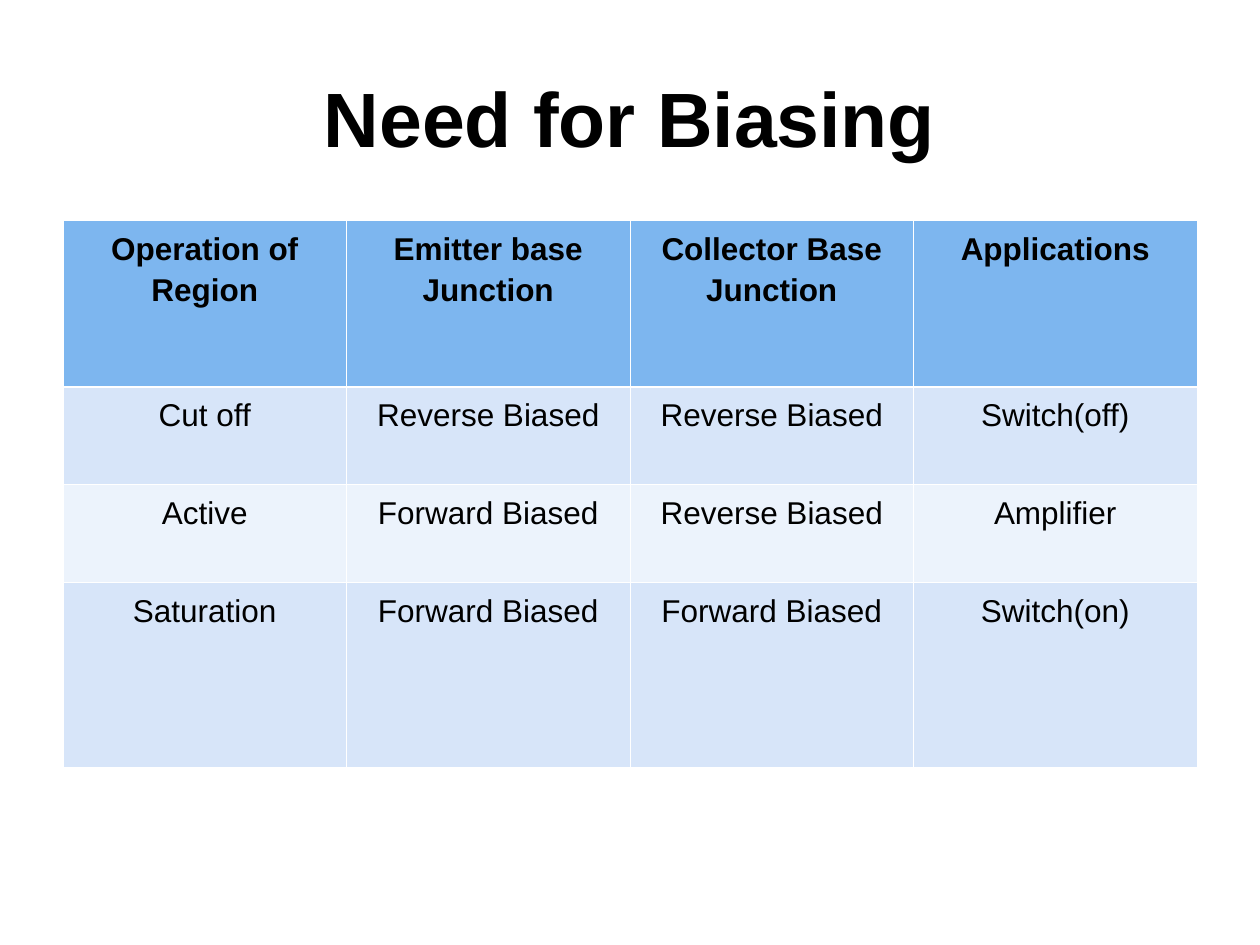
from lxml import etree
from pptx import Presentation
from pptx.dml.color import RGBColor
from pptx.enum.text import MSO_ANCHOR, PP_ALIGN
from pptx.oxml.ns import qn
from pptx.util import Pt

CENTER = PP_ALIGN.CENTER
MIDDLE = MSO_ANCHOR.MIDDLE
TOP = MSO_ANCHOR.TOP
TITLE_ONLY = 5

COLORS = {
    "text": "000000",
    "rule": "FFFFFF",
    "header": "7DB6EF",
    "odd_row": "D7E5F9",
    "even_row": "ECF3FC",
}
FONT = "Arial"
THIN, THICK = 0.45, 1.47

ROWS = [
    ["Operation of Region", "Emitter base Junction", "Collector Base Junction", "Applications"],
    ["Cut off", "Reverse Biased", "Reverse Biased", "Switch(off)"],
    ["Active", "Forward Biased", "Reverse Biased", "Amplifier"],
    ["Saturation", "Forward Biased", "Forward Biased", "Switch(on)"],
]
ROW_HEIGHTS = [95, 56, 56, 105.5]


def write_text(frame, text, *, size, bold=False, spacing=1.0):
    frame.word_wrap = True
    para = frame.paragraphs[0]
    para.alignment = CENTER
    para.line_spacing = spacing
    span = para.add_run()
    span.text = text
    span.font.name = FONT
    span.font.size = Pt(size)
    span.font.bold = bold
    span.font.color.rgb = RGBColor.from_string(COLORS["text"])


def set_borders(cell, **widths):
    """Draw the cell's edges; widths in points, keyed L, R, T, B in that order."""
    properties = cell._tc.get_or_add_tcPr()
    for side, width in widths.items():
        line = etree.SubElement(properties, qn(f"a:ln{side}"), w=str(int(Pt(width))))
        fill = etree.SubElement(line, qn("a:solidFill"))
        etree.SubElement(fill, qn("a:srgbClr"), val=COLORS["rule"])


def add_title(page, text, left, top, width, height):
    title = page.shapes.title
    title.left, title.top = Pt(left), Pt(top)
    title.width, title.height = Pt(width), Pt(height)
    title.text_frame.vertical_anchor = MIDDLE
    write_text(title.text_frame, text, size=44, bold=True)


def format_cell(cell, text, row):
    cell.margin_left = cell.margin_right = Pt(5.76)
    cell.margin_top = cell.margin_bottom = Pt(3.6)
    cell.vertical_anchor = TOP
    write_text(cell.text_frame, text, size=18, bold=row == 0, spacing=1.15)
    set_borders(
        cell,
        L=THIN,
        R=THIN,
        T=THICK if row == 1 else THIN,
        B=THICK if row == 0 else THIN,
    )
    # The fill must follow the border elements in the cell properties.
    band = "header" if row == 0 else "odd_row" if row % 2 else "even_row"
    cell.fill.solid()
    cell.fill.fore_color.rgb = RGBColor.from_string(COLORS[band])


def add_region_table(page, left, top, width):
    columns = len(ROWS[0])
    table = page.shapes.add_table(
        len(ROWS), columns, Pt(left), Pt(top), Pt(width), Pt(sum(ROW_HEIGHTS))
    ).table
    for column in table.columns:
        column.width = Pt(width / columns)
    for row, (texts, height) in enumerate(zip(ROWS, ROW_HEIGHTS)):
        table.rows[row].height = Pt(height)
        for column, text in enumerate(texts):
            format_cell(table.cell(row, column), text, row)


def main():
    deck = Presentation()
    deck.slide_width, deck.slide_height = Pt(720), Pt(540)
    page = deck.slides.add_slide(deck.slide_layouts[TITLE_ONLY])
    add_title(page, "Need for Biasing", 36, 21.6, 648, 90)
    add_region_table(page, 36, 126, 648)
    deck.save("out.pptx")


if __name__ == "__main__":
    main()
